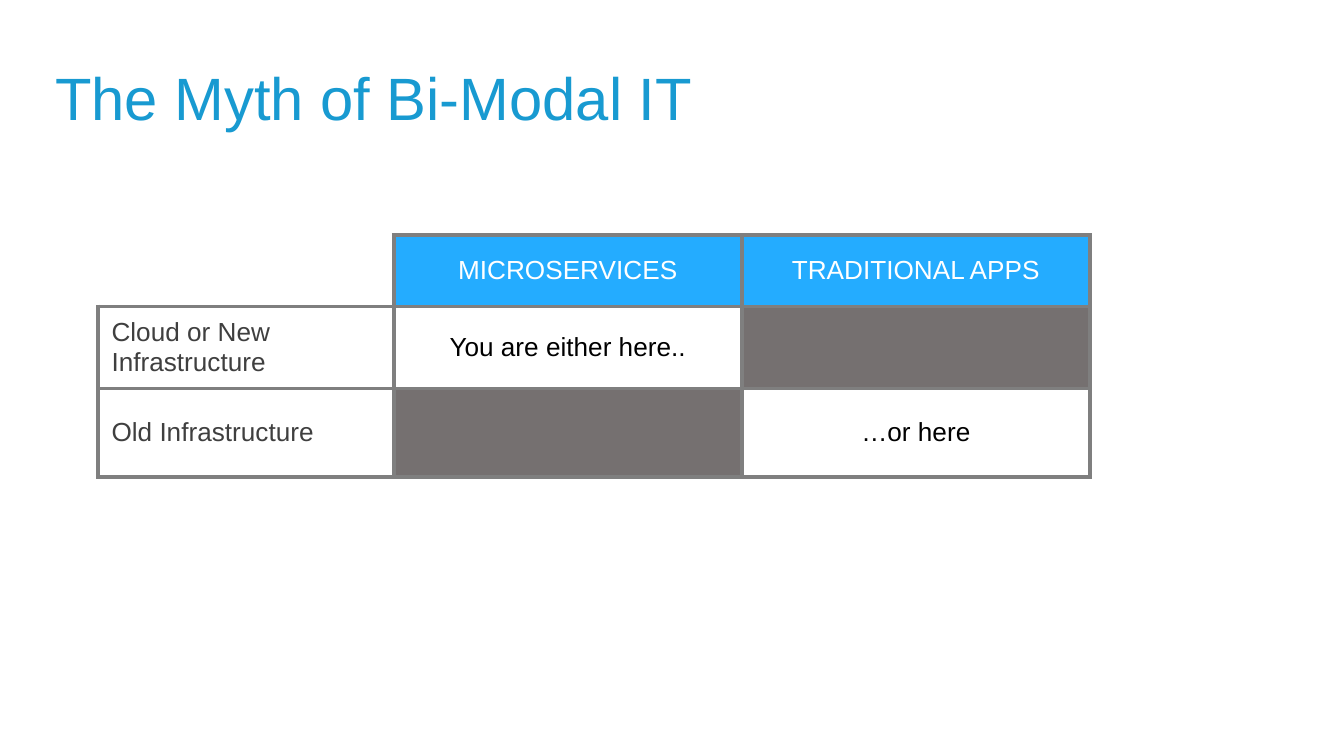
from pptx import Presentation
from pptx.dml.color import RGBColor
from pptx.enum.text import MSO_ANCHOR as Anchor, MSO_AUTO_SIZE as AutoSize, PP_ALIGN as Align
from pptx.oxml.ns import qn
from pptx.util import Inches, Pt
from lxml.etree import SubElement

# Content
TITLE = "The Myth of Bi-Modal IT"
ROWS = [
    ["", "MICROSERVICES", "TRADITIONAL APPS"],
    ["Cloud or New Infrastructure", "You are either here..", ""],
    ["Old Infrastructure", "", "…or here"],
]
COLUMN_WIDTHS = [2.2, 2.59, 2.59]
ROW_HEIGHTS = [0.53, 0.61, 0.66]

# Style
PAGE_WIDTH = 10
FONT = "Arial"
TITLE_BLUE, HEADER_BLUE = "189AD1", "24ACFF"
BLOCKED, BORDER = "757070", "7F7F7F"
WHITE, LABEL, BLACK = "FFFFFF", "3F3F3F", "000000"


def color(value):
    return RGBColor.from_string(value)


def add_text(para, text, size, ink):
    span = para.add_run()
    span.text = text
    span.font.name = FONT
    span.font.size = Pt(size)
    span.font.color.rgb = color(ink)


def add_borders(cell, sides):
    properties = cell._tc.get_or_add_tcPr()
    for side in sides:
        line = SubElement(properties, qn(f"a:ln{side}"), w=str(Pt(2.25)))
        fill = SubElement(line, qn("a:solidFill"))
        SubElement(fill, qn("a:srgbClr"), val=BORDER)


def cell_style(row, column, text):
    """Return the fill (None for clear) and the text colour of a cell."""
    if row == 0:
        return (HEADER_BLUE if text else None), WHITE
    if column == 0:
        return None, LABEL
    return (None if text else BLOCKED), BLACK


# Page, 16:9
deck = Presentation()
deck.slide_width = Inches(PAGE_WIDTH)
deck.slide_height = Inches(PAGE_WIDTH * 9 / 16)
page = deck.slides.add_slide(deck.slide_layouts[5])

# Title
title = page.shapes.title
title.left, title.top = Inches(0.31), Inches(0.18)
title.width, title.height = Inches(7.49), Inches(0.75)
frame = title.text_frame
frame.auto_size = AutoSize.NONE
frame.word_wrap = True
frame.vertical_anchor = Anchor.MIDDLE
para = frame.paragraphs[0]
para.alignment = Align.LEFT
para.line_spacing = 1.62
add_text(para, TITLE, 32, TITLE_BLUE)

# Table
grid = page.shapes.add_table(
    len(ROWS), len(COLUMN_WIDTHS), Inches(0.73), Inches(1.75),
    Inches(sum(COLUMN_WIDTHS)), Inches(sum(ROW_HEIGHTS))).table
grid.first_row = grid.horz_banding = False
for column, width in zip(grid.columns, COLUMN_WIDTHS):
    column.width = Inches(width)
for row, height in zip(grid.rows, ROW_HEIGHTS):
    row.height = Inches(height)

# Cells: the top left corner has no outer border
for r, texts in enumerate(ROWS):
    for c, text in enumerate(texts):
        cell = grid.cell(r, c)
        fill, ink = cell_style(r, c, text)
        add_borders(cell, "RB" if r == c == 0 else "LRTB")
        if fill:
            cell.fill.solid()
            cell.fill.fore_color.rgb = color(fill)
        else:
            cell.fill.background()
        cell.vertical_anchor = Anchor.MIDDLE
        if text:
            para = cell.text_frame.paragraphs[0]
            para.alignment = Align.CENTER if c else Align.LEFT
            add_text(para, text, 14, ink)

deck.save("out.pptx")
